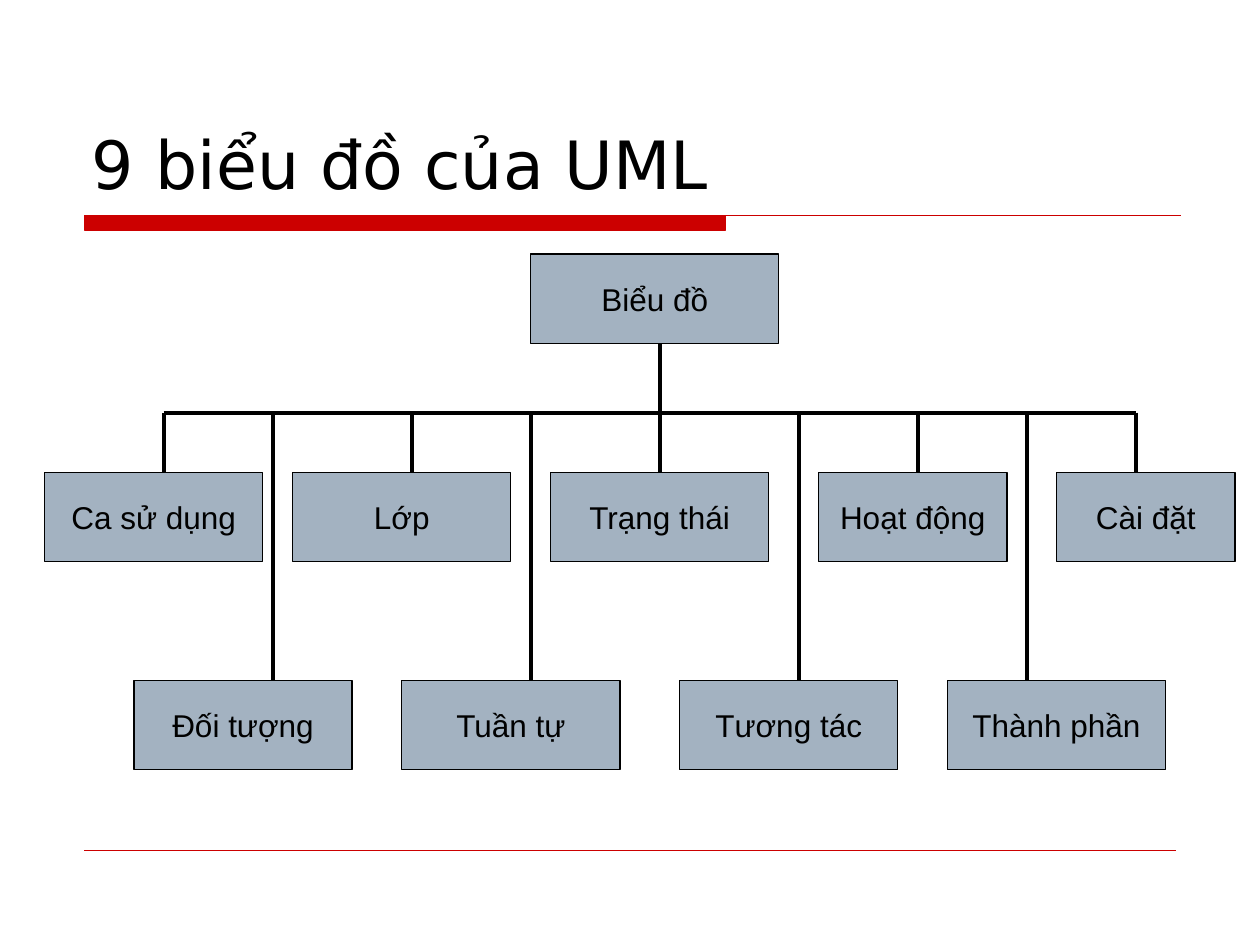
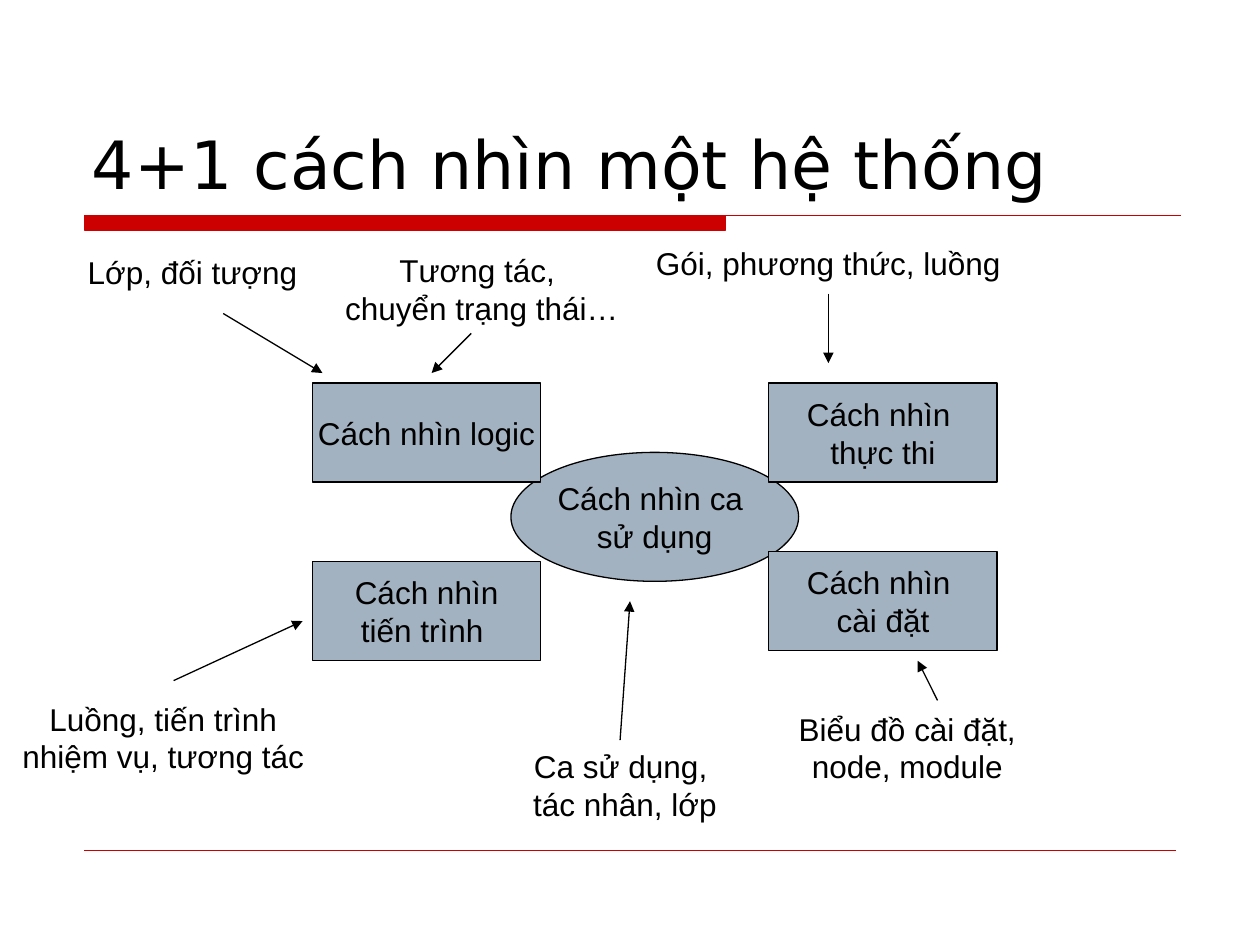
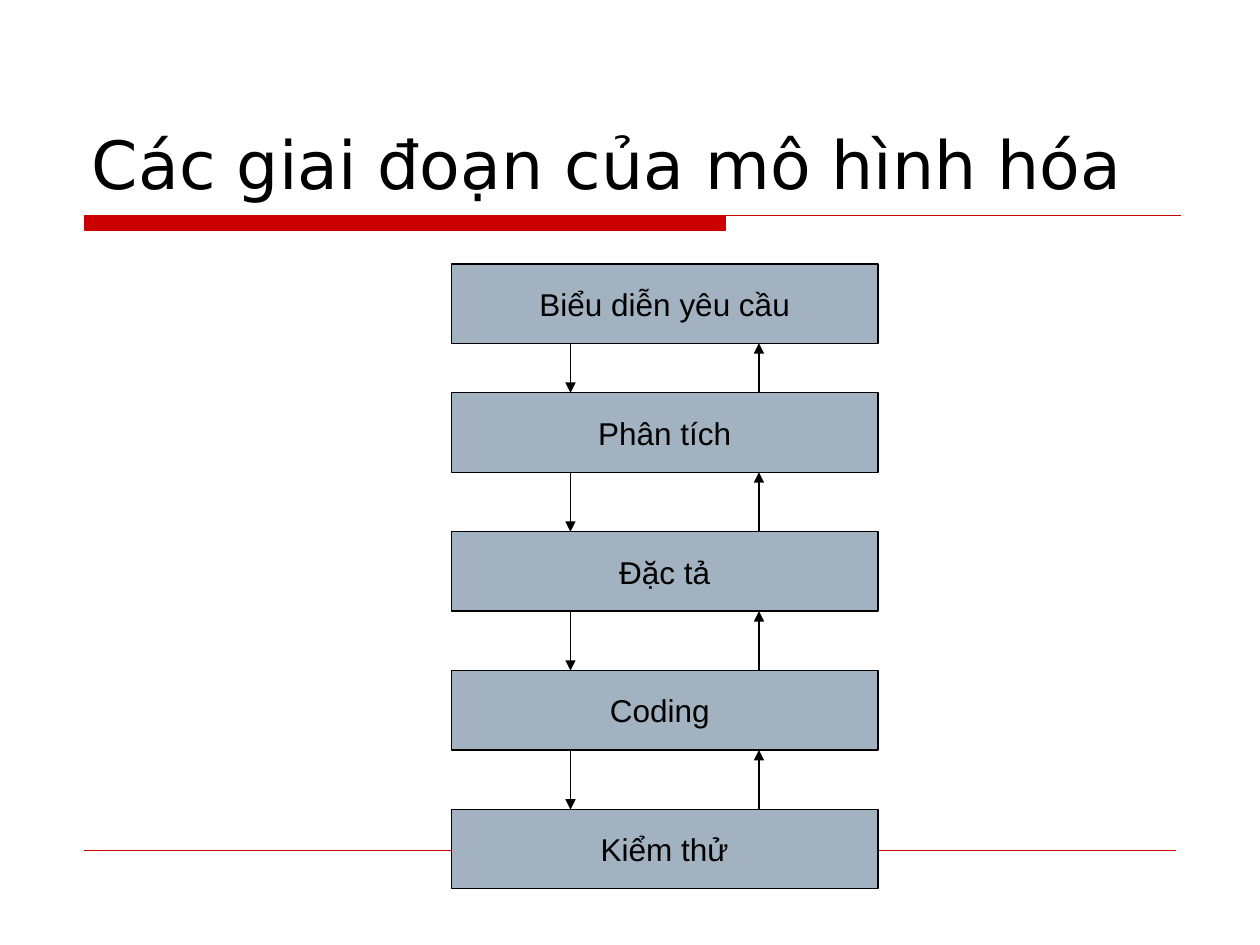
from lxml import etree
from pptx import Presentation
from pptx import util as u
from pptx.dml import color
from pptx.enum import shapes, text
from pptx.oxml import ns

RECTANGLE = shapes.MSO_SHAPE.RECTANGLE
OVAL = shapes.MSO_SHAPE.OVAL
NO_SHADOW = ns.qn("a:effectLst")


def rgb(value):
    return color.RGBColor.from_string(value)


def write(shape, content, font="Arial", size=18, ink="000000",
          align=text.PP_ALIGN.CENTER, anchor=text.MSO_ANCHOR.MIDDLE, wrap=False):
    frame = shape.text_frame
    frame.text = content
    frame.word_wrap = wrap
    frame.auto_size = text.MSO_AUTO_SIZE.NONE
    frame.vertical_anchor = anchor
    for paragraph in frame.paragraphs:
        paragraph.alignment = align
        paragraph.font.name = font
        paragraph.font.size = u.Pt(size)
        paragraph.font.color.rgb = rgb(ink)


class Deck:
    CELL = u.Mm(2)
    ORIGIN_X, ORIGIN_Y = 0.5, 0.6
    BLACK, RED, STEEL = "000000", "CC0000", "A3B2C1"
    THIN, THICK = 0.75, 2.25
    LABEL_MARGIN = 2

    def __init__(self):
        self.presentation = Presentation()
        self.presentation.slide_width = u.Inches(10)
        self.presentation.slide_height = u.Inches(7.5)
        self.layout = self.presentation.slide_layouts[5]
        self.slide = None

    def x(self, column):
        return round((column + self.ORIGIN_X) * self.CELL)

    def y(self, row):
        return round((row + self.ORIGIN_Y) * self.CELL)

    def area(self, column, row, columns, rows):
        return (self.x(column), self.y(row),
                round(columns * self.CELL), round(rows * self.CELL))

    def add_slide(self, heading):
        first = self.slide is None
        self.slide = self.presentation.slides.add_slide(self.layout)
        if first:
            self.decorate_layout()
        title = self.slide.shapes.title
        title.left, title.top, title.width, title.height = self.area(7.5, 3.6, 111.1, 16.9)
        write(title, heading, font="DejaVu Sans", size=38, wrap=True,
              align=text.PP_ALIGN.LEFT, anchor=text.MSO_ANCHOR.BOTTOM)

    def decorate_layout(self):
        band = self.title_band(8, 21.1, 64.65, 110.5, 1.5)
        footer_rule = self.line((8, 85.1), (118, 85.1), ink=self.RED, width=0.25)
        for shape in (band, footer_rule):
            self.layout.shapes.element.append(shape.element)

    def title_band(self, column, row, band_columns, rule_columns, rows):
        left, top = self.x(column), self.y(row)
        right, bottom = self.x(column + band_columns), self.y(row + rows)
        builder = self.slide.shapes.build_freeform(left, top)
        builder.add_line_segments([(right, top), (right, bottom), (left, bottom)])
        builder.move_to(left, top)
        builder.add_line_segments([(self.x(column + rule_columns), top)], close=False)
        shape = builder.convert_to_shape()
        self.paint(shape, self.RED, self.RED)
        return shape

    def paint(self, shape, fill, border):
        shape.shadow.inherit = False
        shape.fill.solid()
        shape.fill.fore_color.rgb = rgb(fill)
        shape.line.color.rgb = rgb(border)
        shape.line.width = u.Pt(self.THIN)

    def box(self, content, column, row, columns, rows, kind=RECTANGLE):
        shape = self.slide.shapes.add_shape(kind, *self.area(column, row, columns, rows))
        self.paint(shape, self.STEEL, self.BLACK)
        if content:
            write(shape, content)

    def label(self, content, column, row, columns):
        rows = 8.9 if "\n" in content else 5.1
        shape = self.slide.shapes.add_textbox(*self.area(
            column - self.LABEL_MARGIN, row, columns + 2 * self.LABEL_MARGIN, rows))
        write(shape, content, anchor=text.MSO_ANCHOR.TOP)

    def line(self, start, end, ink=BLACK, width=THIN, arrow=False):
        connector = self.slide.shapes.add_connector(
            shapes.MSO_CONNECTOR.STRAIGHT,
            self.x(start[0]), self.y(start[1]), self.x(end[0]), self.y(end[1]))
        connector.line.color.rgb = rgb(ink)
        connector.line.width = u.Pt(width)
        properties = connector.element.spPr
        if arrow:
            outline = properties.find(ns.qn("a:ln"))
            etree.SubElement(outline, ns.qn("a:tailEnd"), type="triangle")
        etree.SubElement(properties, NO_SHADOW)
        return connector


def add_diagram_tree(deck):
    deck.add_slide("9 biểu đồ của UML")
    root_row, bus_row, upper_row, lower_row, height = 25, 41, 47, 68, 9
    deck.box("Biểu đồ", 53, root_row, 25, height)
    upper = [("Ca sử dụng", 4, 22, 16), ("Lớp", 29, 22, 41), ("Trạng thái", 55, 22, 66),
             ("Hoạt động", 82, 19, 92), ("Cài đặt", 106, 18, 114)]
    lower = [("Đối tượng", 13, 22, 27), ("Tuần tự", 40, 22, 53),
             ("Tương tác", 68, 22, 80), ("Thành phần", 95, 22, 103)]
    deck.line((16, bus_row), (114, bus_row), width=deck.THICK)
    deck.line((66, root_row + height), (66, bus_row), width=deck.THICK)
    for row, leaves in ((upper_row, upper), (lower_row, lower)):
        for name, column, columns, drop in leaves:
            deck.box(name, column, row, columns, height)
            deck.line((drop, bus_row), (drop, row), width=deck.THICK)


def add_views(deck):
    deck.add_slide("4+1 cách nhìn một hệ thống")
    deck.box("Cách nhìn ca \nsử dụng", 51, 45, 29, 13, kind=OVAL)
    for name, column, row in (("Cách nhìn logic", 31, 38), ("Cách nhìn \nthực thi", 77, 38),
                              ("Cách nhìn \ncài đặt", 77, 55),
                              ("Cách nhìn\ntiến trình ", 31, 56)):
        deck.box(name, column, row, 23, 10)
    notes = [
        ("Lớp, đối tượng", 7.1, 24.3, 23.6, (22, 31), (32, 37)),
        ("Tương tác, \nchuyển trạng thái…", 33, 24.1, 30.1, (47, 33), (43, 37)),
        ("Gói, phương thức, luồng", 64.4, 23.4, 37.2, (83, 29), (83, 36)),
        ("Luồng, tiến trình\nnhiệm vụ, tương tác", 0.5, 69.3, 30.9, (17, 68), (30, 62)),
        ("Ca sử dụng, \ntác nhân, lớp", 52, 74.1, 21, (62, 74), (63, 60)),
        ("Biểu đồ cài đặt,\nnode, module", 78.75, 70.3, 24.4, (94, 70), (92, 66)),
    ]
    for content, column, row, columns, start, end in notes:
        deck.label(content, column, row, columns)
        deck.line(start, end, arrow=True)


def add_stages(deck):
    deck.add_slide("Các giai đoạn của mô hình hóa")
    height, down, up = 8, 57, 76
    stages = [("Biểu diễn yêu cầu", 26), ("Phân tích", 39), ("Đặc tả", 53),
              ("", 67), ("Kiểm thử", 81)]
    for name, row in stages:
        deck.box(name, 45, row, 43, height)
    deck.label("Coding", 59.7, 68.4, 12.6)
    for (_, row), (_, next_row) in zip(stages, stages[1:]):
        deck.line((down, row + height), (down, next_row), arrow=True)
        deck.line((up, next_row), (up, row + height), arrow=True)


def main():
    deck = Deck()
    add_diagram_tree(deck)
    add_views(deck)
    add_stages(deck)
    deck.presentation.save("out.pptx")


if __name__ == "__main__":
    main()
